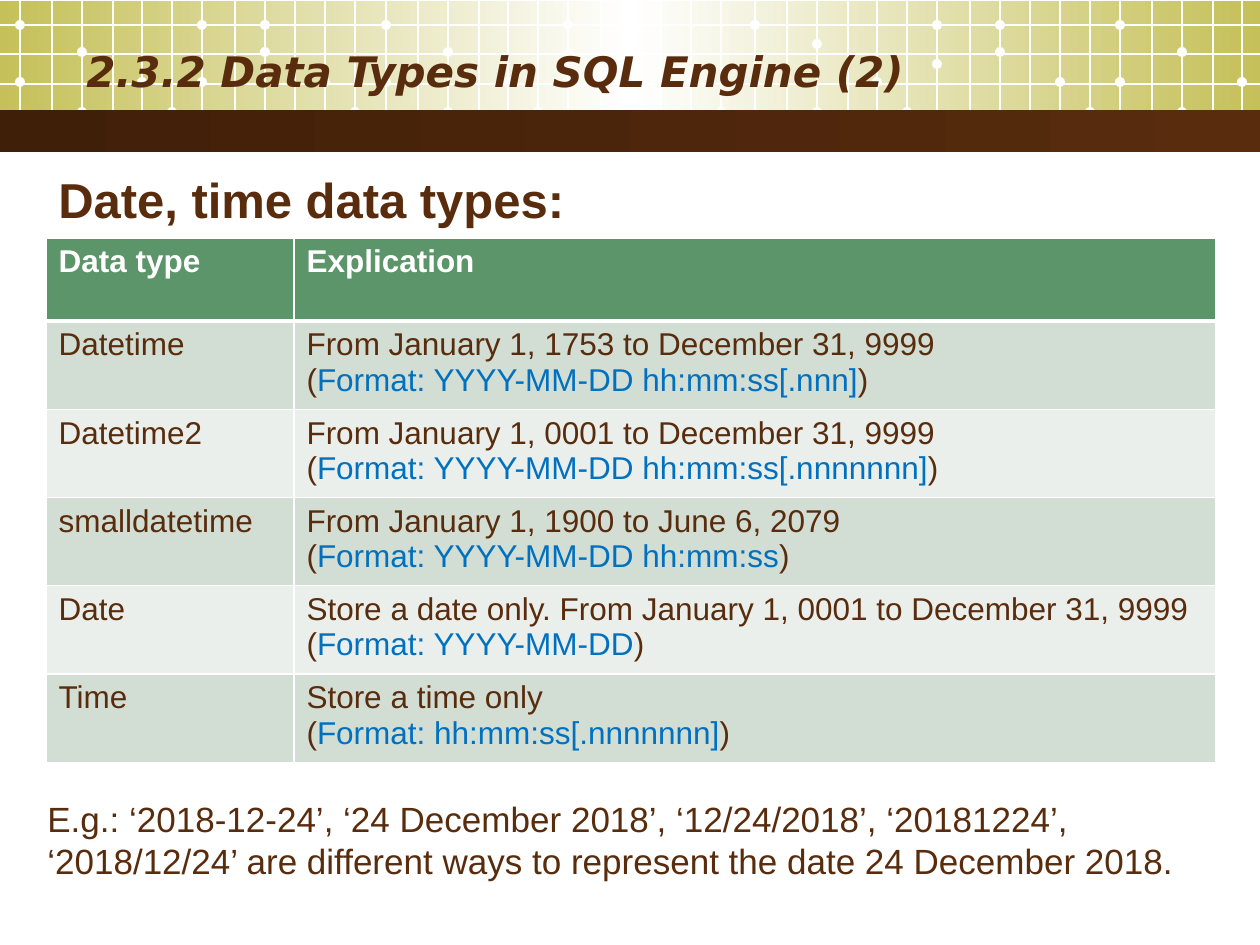
from copy import deepcopy

from lxml.etree import SubElement
from pptx import Presentation
from pptx.dml.color import RGBColor
from pptx.enum.shapes import MSO_CONNECTOR, MSO_SHAPE
from pptx.enum.text import MSO_ANCHOR, MSO_AUTO_SIZE, PP_ALIGN
from pptx.oxml.ns import qn
from pptx.util import Emu, Pt

SCALE = 914400 / 126
SLIDE_WIDTH, SLIDE_HEIGHT = 1260, 945

WHITE = RGBColor(0xFF, 0xFF, 0xFF)
OLIVE = RGBColor(0xC5, 0xC0, 0x59)
BROWN = RGBColor(0x59, 0x2C, 0x0D)
DARK_BROWN = RGBColor(0x40, 0x1F, 0x09)
BLUE = RGBColor(0x00, 0x70, 0xC0)
GREEN = RGBColor(0x5B, 0x95, 0x69)
BANDS = (RGBColor(0xD2, 0xDD, 0xD4), RGBColor(0xEA, 0xEF, 0xEB))

TITLE_FORMAT = {"name": "DejaVu Sans", "size": Pt(24), "bold": True, "italic": True}
HEADING_FORMAT = {"name": "Arial", "size": Pt(28), "bold": True}
EXAMPLE_FORMAT = {"name": "Arial", "size": Pt(20)}
CELL_FORMAT = {"name": "Arial", "size": Pt(18), "bold": False}
HEADER_FORMAT = CELL_FORMAT | {"bold": True}

# The lattice repeats every twelve columns; dots are (column, centre y).
LATTICE_STARTS = (20, 386, 755, 1120)
LATTICE_COLUMNS = (0, 32, 62, 93, 122, 152, 182, 215, 245, 275, 305, 335)
LATTICE_ROWS = (25, 54, 84, 112)
LATTICE_DOTS = ((0, 82), (0, 25), (2, 52), (2, 112), (4, 82), (5, 112),
                (6, 82), (6, 25), (8, 52), (8, 25), (10, 82), (11, 112))
MOVED_DOTS = {(386, 6, 82): 54, (755, 2, 52): 44, (755, 6, 82): 64}
DOT_SIZE = 10

COLUMN_WIDTHS = (248, 922)
ROW_HEIGHT = 83
HEADERS = ("Data type", "Explication")
DATA_TYPES = (
    ("Datetime", "From January 1, 1753 to December 31, 9999",
     "Format: YYYY-MM-DD hh:mm:ss[.nnn]"),
    ("Datetime2", "From January 1, 0001 to December 31, 9999",
     "Format: YYYY-MM-DD hh:mm:ss[.nnnnnnn]"),
    ("smalldatetime", "From January 1, 1900 to June 6, 2079",
     "Format: YYYY-MM-DD hh:mm:ss"),
    ("Date", "Store a date only. From January 1, 0001 to December 31, 9999",
     "Format: YYYY-MM-DD"),
    ("Time", "Store a time only", "Format: hh:mm:ss[.nnnnnnn]"),
)


def px(*lengths):
    return [Emu(round(length * SCALE)) for length in lengths]


def add_run(paragraph, text, font_format, color):
    run = paragraph.add_run()
    run.text = text
    for attribute, value in font_format.items():
        setattr(run.font, attribute, value)
    run.font.color.rgb = color


def add_text(slide, box, text, font_format):
    textbox = slide.shapes.add_textbox(*px(*box))
    frame = textbox.text_frame
    frame.word_wrap = True
    add_run(frame.paragraphs[0], text, font_format, BROWN)
    return frame


def add_gradient_band(slide, box, colors):
    """Add a rectangle whose colors run evenly from left to right."""
    band = slide.shapes.add_shape(MSO_SHAPE.RECTANGLE, *px(*box))
    band.shadow.inherit = False
    band.line.fill.background()
    band.fill.gradient()
    band.fill.gradient_angle = 0
    stops = next(band.element.iter(qn("a:gsLst")))
    for _ in colors[2:]:
        stops.append(deepcopy(stops[0]))
    for index, (stop, color) in enumerate(zip(band.fill.gradient_stops, colors)):
        stop.position = index / (len(colors) - 1)
        stop.color.rgb = color


def add_line(slide, *ends):
    line = slide.shapes.add_connector(MSO_CONNECTOR.STRAIGHT, *px(*ends))
    line.line.color.rgb = WHITE
    line.line.width = Pt(0.75)
    SubElement(line.element.spPr, qn("a:effectLst"))


def add_dot(slide, x, y):
    corner = (x - DOT_SIZE // 2, y - DOT_SIZE // 2)
    dot = slide.shapes.add_shape(MSO_SHAPE.OVAL, *px(*corner, DOT_SIZE, DOT_SIZE))
    dot.shadow.inherit = False
    dot.fill.solid()
    dot.fill.fore_color.rgb = WHITE
    dot.line.fill.background()


def add_lattice(slide):
    for start in LATTICE_STARTS:
        for offset in LATTICE_COLUMNS:
            x = start + offset
            if x < SLIDE_WIDTH:
                add_line(slide, x, 0, x, 139)
        for column, y in LATTICE_DOTS:
            x = start + LATTICE_COLUMNS[column]
            if x < SLIDE_WIDTH:
                add_dot(slide, x, MOVED_DOTS.get((start, column, y), y))
    for y in LATTICE_ROWS:
        add_line(slide, 0, y, SLIDE_WIDTH, y)


def style_cell(cell, fill, top=1, bottom=1):
    """Fill a cell and give it white borders, with widths in points."""
    cell.fill.solid()
    cell.fill.fore_color.rgb = fill
    properties = cell._tc.get_or_add_tcPr()
    widths = {"a:lnL": 1, "a:lnR": 1, "a:lnT": top, "a:lnB": bottom}
    for index, (side, width) in enumerate(widths.items()):
        border = SubElement(properties, qn(side), w=str(Pt(width)))
        SubElement(SubElement(border, qn("a:solidFill")), qn("a:srgbClr"), val=str(WHITE))
        properties.insert(index, border)


def add_type_table(slide):
    row_count = len(DATA_TYPES) + 1
    box = (46, 238, sum(COLUMN_WIDTHS), ROW_HEIGHT * row_count)
    table = slide.shapes.add_table(row_count, len(HEADERS), *px(*box)).table
    for column, width in zip(table.columns, px(*COLUMN_WIDTHS)):
        column.width = width
    for row in table.rows:
        row.height = px(ROW_HEIGHT)[0]

    for cell, header in zip(table.rows[0].cells, HEADERS):
        style_cell(cell, GREEN, bottom=3)
        add_run(cell.text_frame.paragraphs[0], header, HEADER_FORMAT, WHITE)

    for index, (name, span, pattern) in enumerate(DATA_TYPES):
        name_cell, explication = table.rows[index + 1].cells
        for cell in (name_cell, explication):
            style_cell(cell, BANDS[index % 2], top=1 if index else 3)
        add_run(name_cell.text_frame.paragraphs[0], name, CELL_FORMAT, BROWN)
        add_run(explication.text_frame.paragraphs[0], span, CELL_FORMAT, BROWN)
        pattern_line = explication.text_frame.add_paragraph()
        for text, color in (("(", BROWN), (pattern, BLUE), (")", BROWN)):
            add_run(pattern_line, text, CELL_FORMAT, color)


def main():
    presentation = Presentation()
    presentation.slide_width, presentation.slide_height = px(SLIDE_WIDTH, SLIDE_HEIGHT)
    slide = presentation.slides.add_slide(presentation.slide_layouts[6])

    add_gradient_band(slide, (0, 1, SLIDE_WIDTH, 129), (OLIVE, WHITE, OLIVE))
    add_lattice(slide)
    add_gradient_band(slide, (0, 110, SLIDE_WIDTH, 42), (DARK_BROWN, BROWN))

    title = add_text(slide, (74, 32, 1007, 78),
                     "2.3.2 Data Types in SQL Engine (2)", TITLE_FORMAT)
    title.vertical_anchor = MSO_ANCHOR.MIDDLE
    title.paragraphs[0].alignment = PP_ALIGN.JUSTIFY

    add_type_table(slide)
    heading = add_text(slide, (46, 163, 833, 72), "Date, time data types:", HEADING_FORMAT)
    example = add_text(
        slide, (35, 791, 1182, 97),
        "E.g.: ‘2018-12-24’, ‘24 December 2018’, ‘12/24/2018’, ‘20181224’, "
        "‘2018/12/24’ are different ways to represent the date 24 December 2018.",
        EXAMPLE_FORMAT)
    for frame in (heading, example):
        frame.auto_size = MSO_AUTO_SIZE.SHAPE_TO_FIT_TEXT

    presentation.save("out.pptx")


if __name__ == "__main__":
    main()
